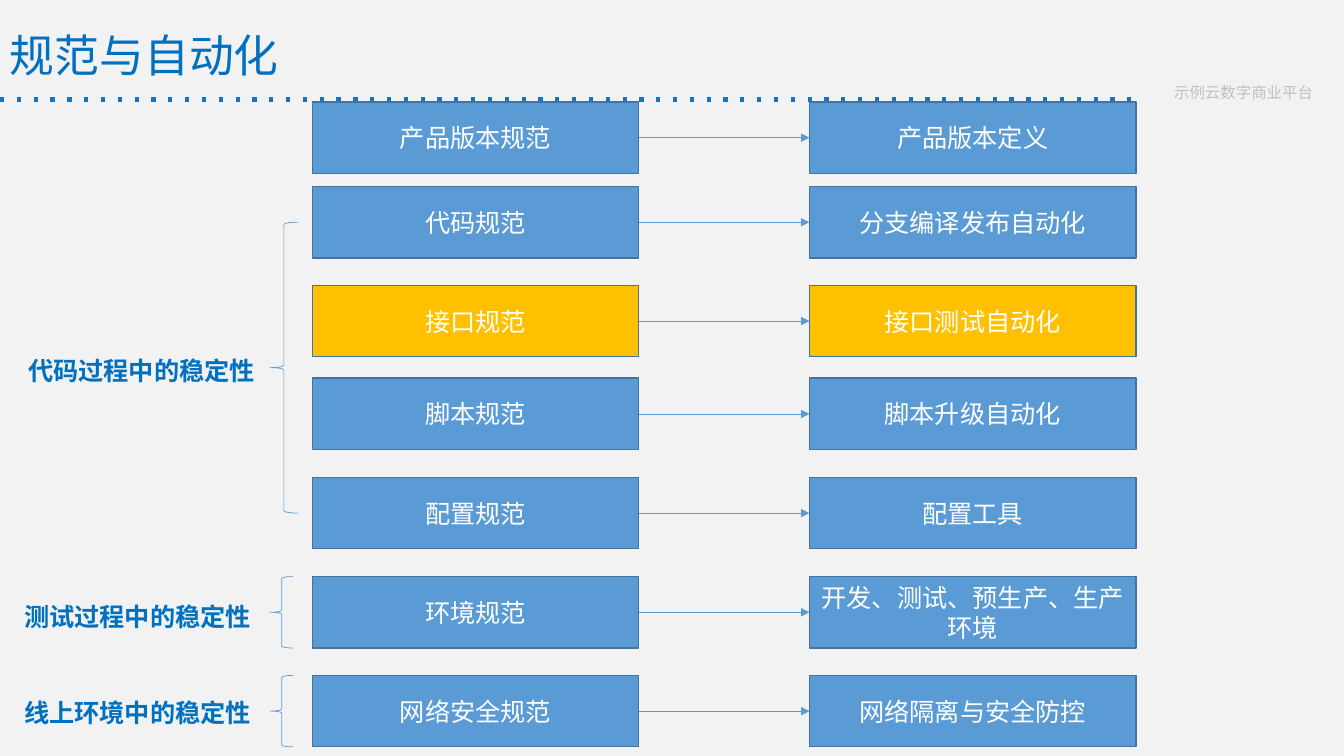
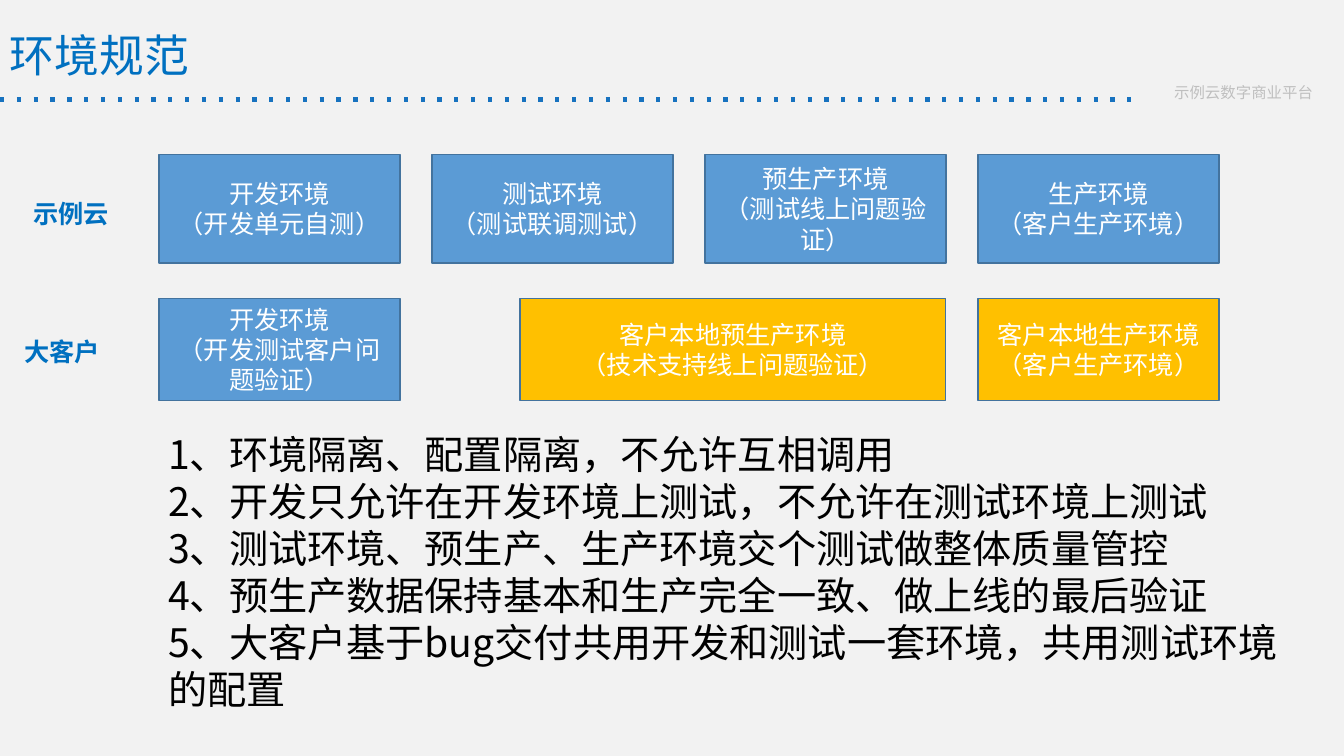
from dataclasses import dataclass

from lxml import etree
from pptx import Presentation
from pptx.dml.color import RGBColor
from pptx.enum.shapes import MSO_CONNECTOR, MSO_SHAPE
from pptx.enum.text import MSO_ANCHOR, MSO_AUTO_SIZE, PP_ALIGN
from pptx.oxml.ns import qn
from pptx.util import Cm, Pt

RECT, BRACE = MSO_SHAPE.RECTANGLE, MSO_SHAPE.LEFT_BRACE
STRAIGHT = MSO_CONNECTOR.STRAIGHT
LEFT, CENTER = PP_ALIGN.LEFT, PP_ALIGN.CENTER
TOP, MIDDLE = MSO_ANCHOR.TOP, MSO_ANCHOR.MIDDLE
GROW, FIXED = MSO_AUTO_SIZE.SHAPE_TO_FIT_TEXT, MSO_AUTO_SIZE.NONE
SIDE_LEFT, SIDE_RIGHT = 1, 3


@dataclass(frozen=True)
class Theme:
    font: str = "Noto Sans CJK SC"
    back: str = "F2F2F2"
    title: str = "0070C0"
    rule: str = "1772BF"
    box: str = "5B9BD5"
    mark: str = "FFC000"
    edge: str = "43739E"
    light: str = "FFFFFF"
    dark: str = "000000"
    faint: str = "BFBFBF"
    head_size: int = 32
    note_size: int = 28
    text_size: int = 18
    tag_size: int = 11


THEME = Theme()


def color(code):
    return RGBColor.from_string(code)


def write(shape, text, size=THEME.text_size, ink=THEME.light, bold=False,
          align=LEFT, anchor=TOP, space=None, pad=True, wrap=True, fit=FIXED):
    """Fill a shape with text, one paragraph for each line."""
    frame = shape.text_frame
    frame.word_wrap, frame.auto_size = wrap, fit
    frame.vertical_anchor = anchor
    if not pad:
        frame.margin_left = frame.margin_right = 0
        frame.margin_top = frame.margin_bottom = 0
    for i, line in enumerate(text.split("\n")):
        para = frame.add_paragraph() if i else frame.paragraphs[0]
        para.alignment = align
        if space:
            para.line_spacing = space
        run = para.add_run()
        run.text = line
        font = run.font
        font.size, font.bold, font.name = Pt(size), bold, THEME.font
        font.color.rgb = color(ink)
        east = etree.SubElement(run._r.get_or_add_rPr(), qn("a:ea"))
        east.set("typeface", THEME.font)


def add_text(slide, spot, text, **style):
    write(slide.shapes.add_textbox(*map(Cm, spot)), text, **style)


def add_label(slide, spot, text):
    add_text(slide, spot, text, ink=THEME.title, bold=True, space=1.2,
             pad=False, fit=GROW)


def add_box(slide, spot, text, fill=THEME.box):
    box = slide.shapes.add_shape(RECT, *map(Cm, spot))
    box.shadow.inherit = False
    box.fill.solid()
    box.fill.fore_color.rgb = color(fill)
    box.line.color.rgb = color(THEME.edge)
    box.line.width = Pt(1)
    write(box, text, align=CENTER, anchor=MIDDLE)
    return box


def add_brace(slide, spot):
    brace = slide.shapes.add_shape(BRACE, *map(Cm, spot))
    brace.shadow.inherit = False
    brace.fill.background()
    brace.line.color.rgb = color(THEME.box)
    brace.line.width = Pt(0.5)


def add_line(slide, ends, ink, width, tag, **attrs):
    """Draw a line; tag and attrs give its dash or arrowhead element."""
    line = slide.shapes.add_connector(STRAIGHT, *map(Cm, ends))
    line.line.color.rgb = color(ink)
    line.line.width = Pt(width)
    props = line._element.spPr
    detail = etree.SubElement(props.find(qn("a:ln")), qn(tag))
    for name, value in attrs.items():
        detail.set(name, value)
    etree.SubElement(props, qn("a:effectLst"))
    return line


def add_arrow(slide, start, end):
    line = add_line(slide, (0, 0, 1, 1), THEME.box, 0.5,
                    "a:tailEnd", type="triangle")
    line.begin_connect(start, SIDE_RIGHT)
    line.end_connect(end, SIDE_LEFT)


def add_slide(deck, title, width):
    """Start a slide with the shared background, rule, tag and title."""
    slide = deck.slides.add_slide(deck.slide_layouts[6])
    slide.background.fill.solid()
    slide.background.fill.fore_color.rgb = color(THEME.back)
    add_line(slide, (0, 2.51, 28.75, 2.51), THEME.rule, 3,
             "a:prstDash", val="dot")
    add_text(slide, (29.34, 1.96, 4.04, 0.74), "示例云数字商业平台",
             size=THEME.tag_size, ink=THEME.faint, wrap=False, fit=GROW)
    add_text(slide, (0, 0.18, width, 2.41), title, size=THEME.head_size,
             ink=THEME.title, anchor=MIDDLE)
    return slide


def rules_slide(deck):
    slide = add_slide(deck, "规范与自动化", 12.55)
    wide, high = 8.23, 1.8
    rows = (
        (2.57, "产品版本规范", "产品版本定义", THEME.box),
        (4.7, "代码规范", "分支编译发布自动化", THEME.box),
        (7.19, "接口规范", "接口测试自动化", THEME.mark),
        (9.53, "脚本规范", "脚本升级自动化", THEME.box),
        (12.03, "配置规范", "配置工具", THEME.box),
        (14.53, "环境规范", "开发、测试、预生产、生产环境", THEME.box),
        (17.02, "网络安全规范", "网络隔离与安全防控", THEME.box),
    )
    for top, rule, tool, fill in rows:
        left = add_box(slide, (7.87, top, wide, high), rule, fill)
        right = add_box(slide, (20.4, top, wide, high), tool, fill)
        add_arrow(slide, left, right)

    code, setup, place, net = (rows[i][0] for i in (1, 4, 5, 6))
    groups = (
        (0.71, 8.81, "代码过程中的稳定性", code + high / 2, setup - code, 0.69),
        (0.61, 15.01, "测试过程中的稳定性", place, high, 0.58),
        (0.61, 17.42, "线上环境中的稳定性", net, high, 0.58),
    )
    for x, y, text, top, tall, deep in groups:
        add_label(slide, (x, y, 6.25, 0.91), text)
        add_brace(slide, (6.81, top, deep, tall))


def places_slide(deck):
    slide = add_slide(deck, "环境规范", 15.14)
    wide = 6.07
    cols = [4.01 + 6.88 * i for i in range(4)]
    stages = (
        "开发环境\n（开发单元自测）",
        "测试环境\n（测试联调测试）",
        "预生产环境\n（测试线上问题验证）",
        "生产环境\n（客户生产环境）",
    )
    for x, text in zip(cols, stages):
        add_box(slide, (x, 3.89, wide, 2.74), text)

    local = (
        (cols[0], wide, "开发环境\n（开发测试客户问题验证）", THEME.box),
        (13.11, 10.72, "客户本地预生产环境\n（技术支持线上问题验证）", THEME.mark),
        (cols[3], wide, "客户本地生产环境\n（客户生产环境）", THEME.mark),
    )
    for x, width, text, fill in local:
        add_box(slide, (x, 7.52, width, 2.57), text, fill)

    add_label(slide, (0.84, 4.85, 2.41, 0.91), "示例云")
    add_label(slide, (0.61, 8.33, 2.64, 0.84), "大客户")
    notes = (
        "1、环境隔离、配置隔离，不允许互相调用",
        "2、开发只允许在开发环境上测试，不允许在测试环境上测试",
        "3、测试环境、预生产、生产环境交个测试做整体质量管控",
        "4、预生产数据保持基本和生产完全一致、做上线的最后验证",
        "5、大客户基于bug交付共用开发和测试一套环境，共用测试环境的配置",
    )
    add_text(slide, (3.99, 10.72, 28.58, 7.44), "\n".join(notes),
             size=THEME.note_size, ink=THEME.dark, fit=GROW)


def main():
    deck = Presentation()
    deck.slide_width, deck.slide_height = Cm(33.87), Cm(19.05)
    rules_slide(deck)
    places_slide(deck)
    deck.save("out.pptx")


if __name__ == "__main__":
    main()
